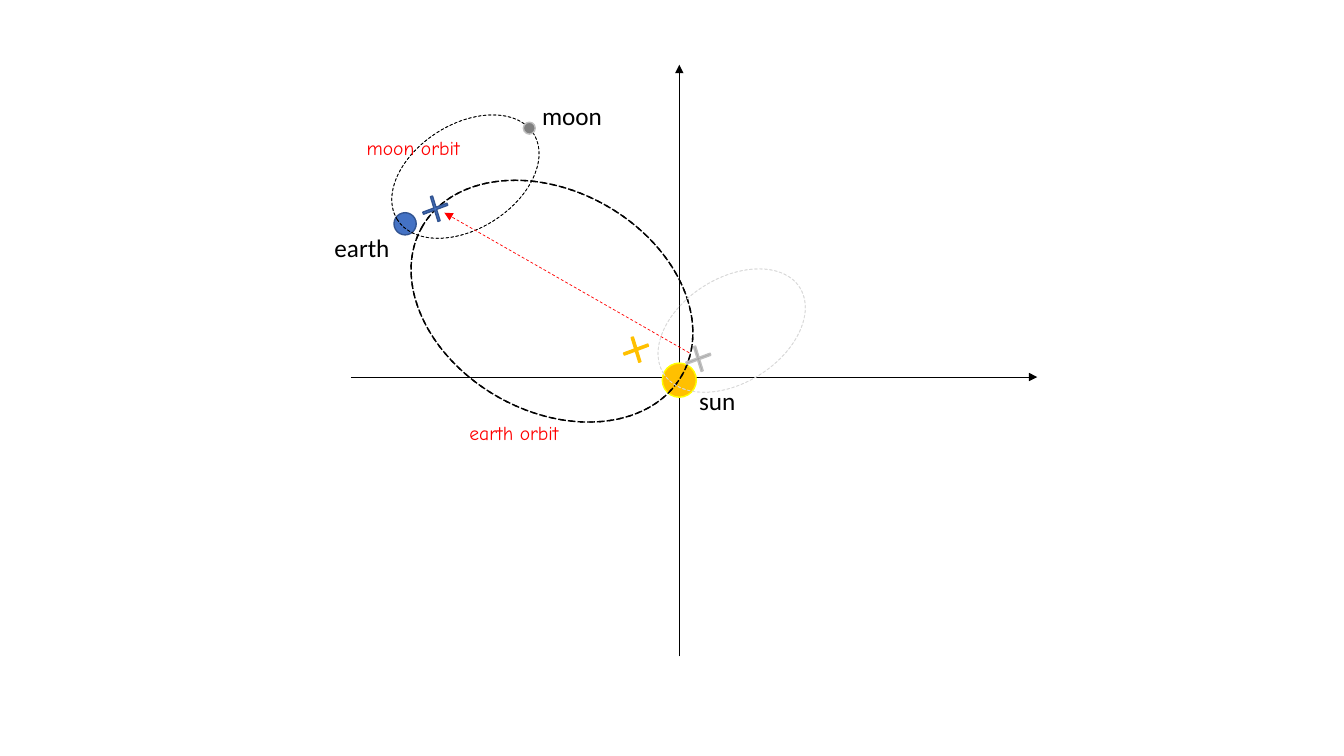
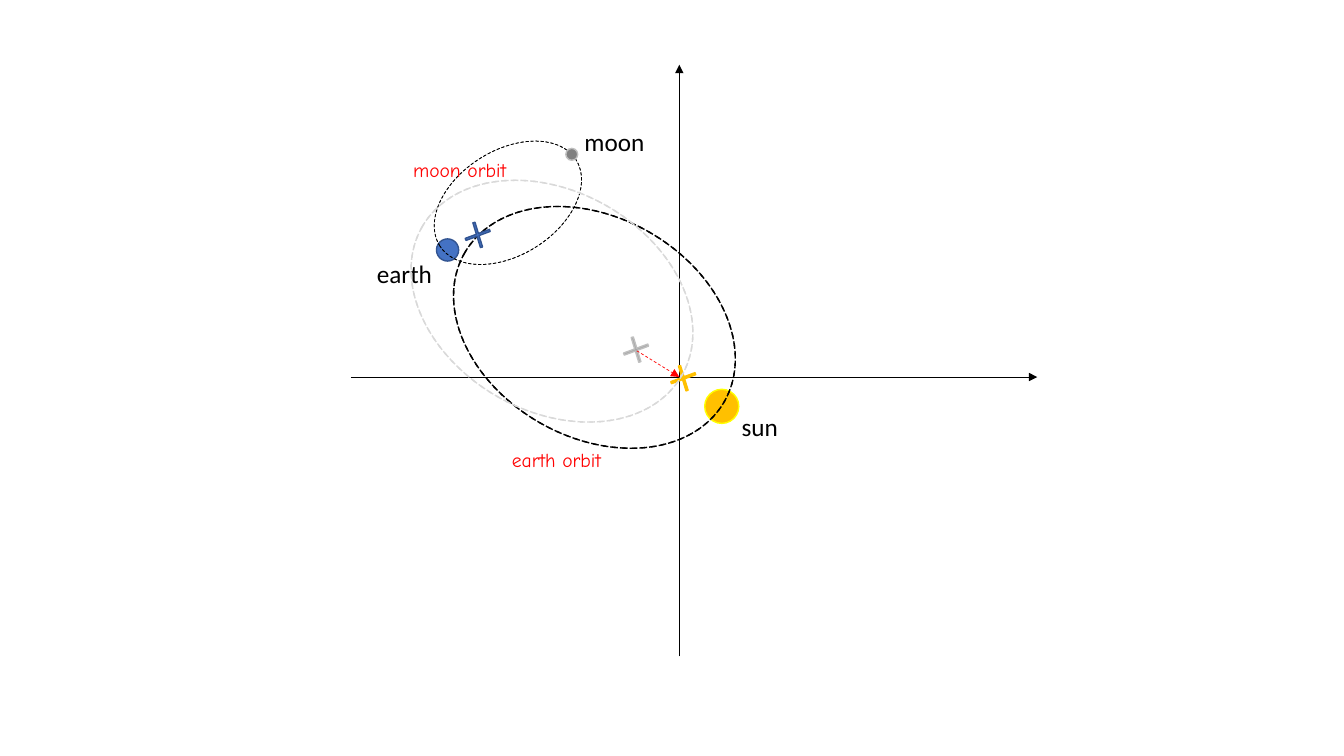
from dataclasses import dataclass

from lxml import etree
from pptx import Presentation
from pptx.dml.color import RGBColor
from pptx.enum.dml import MSO_LINE
from pptx.enum.shapes import MSO_CONNECTOR, MSO_SHAPE
from pptx.enum.text import MSO_AUTO_SIZE
from pptx.oxml.ns import qn
from pptx.util import Cm, Pt

DASH = MSO_LINE.DASH
STRAIGHT = MSO_CONNECTOR.STRAIGHT
DISC, RING, CROSS = MSO_SHAPE.OVAL, MSO_SHAPE.DONUT, MSO_SHAPE.MATH_MULTIPLY
FIT = MSO_AUTO_SIZE.SHAPE_TO_FIT_TEXT


@dataclass(frozen=True)
class Theme:
    black: str = "000000"
    red: str = "FF0000"
    gold: str = "FFC000"
    yellow: str = "FFFF00"
    blue: str = "4472C4"
    navy: str = "325491"
    gray: str = "808080"
    mid: str = "A6A6A6"
    silver: str = "BFBFBF"
    pale: str = "D9D9D9"
    body: tuple = ("Calibri", 18)
    note: tuple = ("Comic Neue", 14)
    thin: float = 0.5
    thick: float = 1


T = Theme()

# Kinds of part: preset, width, height, turn, adjustment, line width, dashed
KINDS = {
    "sun": (DISC, 0.86, 0.86, 0, None, T.thick, False),
    "earth": (DISC, 0.56, 0.56, 0, None, T.thick, False),
    "moon": (DISC, 0.3, 0.3, 0, None, T.thick, False),
    "moon orbit": (RING, 4.06, 2.64, 327.8, 0, T.thin, True),
    "earth orbit": (RING, 7.54, 5.54, 29.7, 0, T.thick, True),
    "cross": (CROSS, 0.86, 0.91, 26.3, 0.064, T.thick, False),
}

# Axes: start, end
AXES = [((8.84, 9.5), (26.14, 9.5)), ((17.12, 16.54), (17.12, 1.63))]

# Moving system: kind, centre, fill, line
BODIES = [
    ("sun", (17.12, 9.58), T.gold, T.yellow),
    ("earth", (10.21, 5.64), T.blue, T.navy),
    ("moon orbit", (11.73, 4.45), None, T.black),
    ("moon", (13.34, 3.23), T.gray, T.silver),
    ("earth orbit", (13.91, 7.59), None, T.black),
    ("cross", (10.97, 5.26), T.blue, T.navy),
]

# Labels: text, left, top, width
NAMES = [("sun", 17.37, 9.58, 1.45), ("earth", 8.18, 5.72, 1.9),
         ("moon", 13.41, 2.41, 2.03)]
NOTES = [("moon orbit", 8.99, 3.3, 3.23), ("earth orbit", 11.58, 10.49, 3.23)]

# Slides: shift of the system, nudge of a note, extras from back to front
FOCUS = (16.03, 8.81)
SLIDES = [
    {"shift": (0, 0), "nudge": {}, "extras": [
        ("arrow", (17.37, 8.89), (11.2, 5.36)),
        ("moon orbit", (18.44, 8.33), None, T.pale),
        ("cross", (17.6, 9.04), T.mid, T.silver),
        ("cross", FOCUS, T.gold, T.gold)]},
    {"shift": (1.07, 0.66), "nudge": {"moon orbit": (0.1, -0.1)}, "extras": [
        ("cross", (17.22, 9.53), T.gold, T.gold),
        ("cross", FOCUS, T.mid, T.silver),
        ("arrow", (16.05, 8.84), (17.12, 9.5)),
        ("earth orbit", (13.91, 7.59), None, T.pale)]},
]


def rgb(code):
    return RGBColor.from_string(code)


def ink(line, color, width, dashed):
    line.color.rgb = rgb(color)
    line.width = Pt(width)
    if dashed:
        line.dash_style = DASH


def add_part(slide, kind, mid, fill, edge):
    preset, wide, high, turn, adj, width, dashed = KINDS[kind]
    shape = slide.shapes.add_shape(
        preset, Cm(mid[0] - wide / 2), Cm(mid[1] - high / 2), Cm(wide), Cm(high))
    shape.shadow.inherit = False
    shape.rotation = turn
    if adj is not None:
        shape.adjustments[0] = adj
    if fill:
        shape.fill.solid()
        shape.fill.fore_color.rgb = rgb(fill)
    else:
        shape.fill.background()
    ink(shape.line, edge, width, dashed)


def add_arrow(slide, start, end, color, dashed=False):
    arrow = slide.shapes.add_connector(
        STRAIGHT, *(Cm(value) for value in start + end))
    ink(arrow.line, color, T.thin, dashed)
    props = arrow._element.spPr
    etree.SubElement(props.find(qn("a:ln")), qn("a:tailEnd"), type="triangle")
    etree.SubElement(props, qn("a:effectLst"))


def add_label(slide, text, place, size, style, color, wrap):
    box = slide.shapes.add_textbox(*(Cm(value) for value in place + size))
    frame = box.text_frame
    frame.word_wrap = wrap
    frame.auto_size = FIT
    run = frame.paragraphs[0].add_run()
    run.text = text
    run.font.name, points = style
    run.font.size = Pt(points)
    run.font.color.rgb = rgb(color)


def move(point, step):
    return point[0] + step[0], point[1] + step[1]


def add_scene(slide, shift, nudge, extras):
    # Axes
    for start, end in AXES:
        add_arrow(slide, start, end, T.black)
    # Sun, earth and moon with their orbits
    for kind, mid, fill, edge in BODIES:
        add_part(slide, kind, move(mid, shift), fill, edge)
    # Labels
    for text, left, top, wide in NAMES:
        add_label(slide, text, move((left, top), shift), (wide, 1.02),
                  T.body, T.black, False)
    for text, left, top, wide in NOTES:
        place = move(move((left, top), shift), nudge.get(text, (0, 0)))
        add_label(slide, text, place, (wide, 0.86), T.note, T.red, True)
    # Step of this slide
    for kind, *rest in extras:
        if kind == "arrow":
            add_arrow(slide, *rest, T.red, True)
        else:
            add_part(slide, kind, *rest)


def main():
    deck = Presentation()
    deck.slide_width, deck.slide_height = Cm(33.87), Cm(19.05)
    for scene in SLIDES:
        add_scene(deck.slides.add_slide(deck.slide_layouts[6]), **scene)
    deck.save("out.pptx")


if __name__ == "__main__":
    main()
